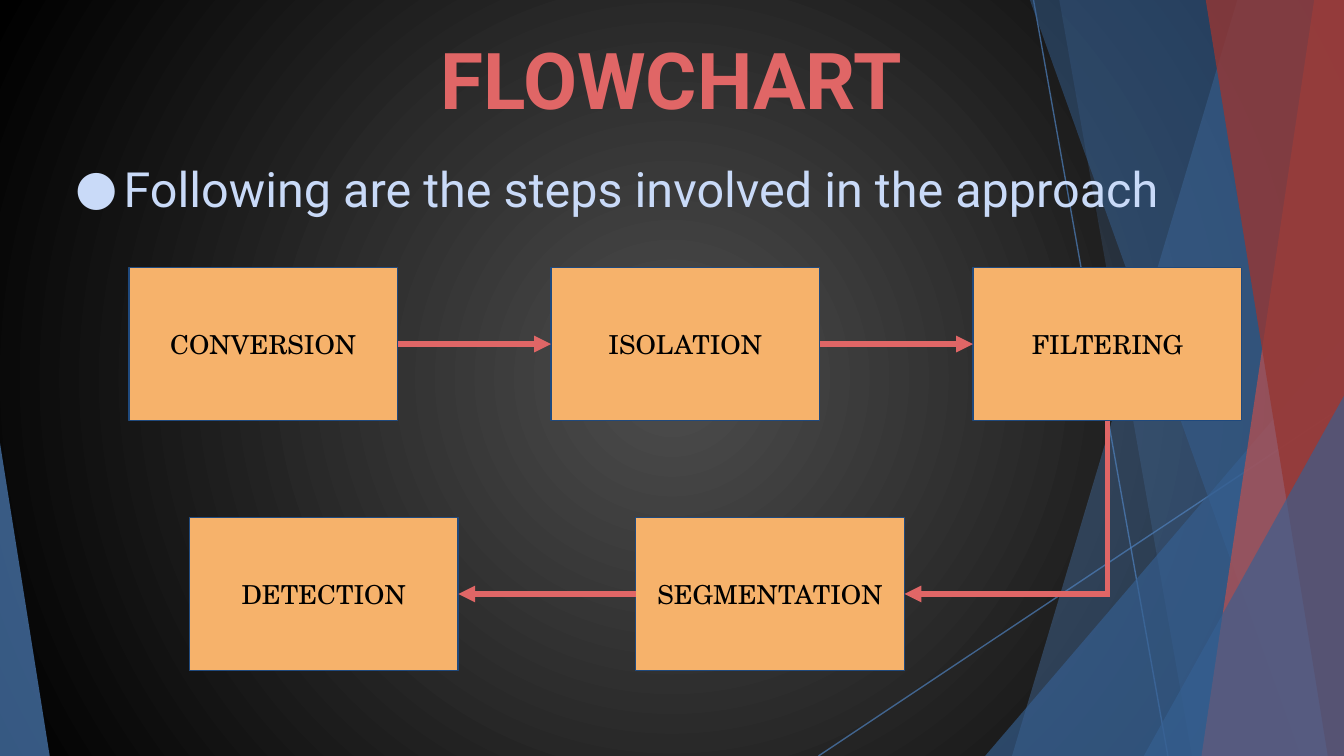
import pptx
import pptx.util
import pptx.dml.color
import pptx.enum.shapes
import pptx.enum.text
import pptx.oxml
import pptx.oxml.ns
from lxml import etree

Inches = pptx.util.Inches
Pt = pptx.util.Pt
qn = pptx.oxml.ns.qn
SHAPE = pptx.enum.shapes.MSO_SHAPE
CENTER = pptx.enum.text.PP_ALIGN.CENTER
MIDDLE = pptx.enum.text.MSO_ANCHOR.MIDDLE

W = 10
H = W * 9 / 16
TOP, LEFT, BOTTOM, RIGHT = range(4)
COLORS = {
    "bg_center": "4D4D4D", "bg_edge": "000000",
    "blue": "4F81BD", "dark_blue": "366092",
    "red": "C0504D", "dark_red": "953734",
    "accent": "E06666", "body": "C9DAF8",
    "box": "F6B26B", "box_line": "1F497D", "box_text": "000000",
}


def rgb(name):
    return pptx.dml.color.RGBColor.from_string(COLORS[name])


def set_alpha(sp, percent):
    for clr in sp.element.spPr.iter(qn("a:srgbClr")):
        etree.SubElement(clr, qn("a:alpha"), val=str(percent * 1000))


def set_background(s):
    """Radial gradient from the slide's centre."""
    fill = s.background.fill
    fill.gradient()
    for stop, name, pos in zip(fill.gradient_stops, ("bg_center", "bg_edge"), (0, 1)):
        stop.color.rgb = rgb(name)
        stop.position = pos
    lin = next(s.element.iter(qn("a:lin")))
    radial = etree.Element(qn("a:path"), path="circle")
    etree.SubElement(radial, qn("a:fillToRect"), {side: "50000" for side in "ltrb"})
    lin.getparent().replace(lin, radial)


def add_line(s, start, end, color, width, arrow=False):
    cn = s.shapes.add_connector(pptx.enum.shapes.MSO_CONNECTOR.STRAIGHT,
                                *(Inches(v) for v in (*start, *end)))
    cn.line.color.rgb = rgb(color)
    cn.line.width = Pt(width)
    if arrow:
        etree.SubElement(cn.element.spPr.find(qn("a:ln")), qn("a:tailEnd"), type="triangle")
    etree.SubElement(cn.element.spPr, qn("a:effectLst"))
    return cn


def paint(sp, color, alpha):
    sp.shadow.inherit = False
    sp.fill.solid()
    sp.fill.fore_color.rgb = rgb(color)
    sp.line.fill.background()
    set_alpha(sp, alpha)


def add_band(s, x_top, x_bottom, color, alpha):
    """Translucent band from a slanted left edge to the slide's right edge."""
    fb = s.shapes.build_freeform(Inches(x_top), Inches(-0.01), scale=1.0)
    corners = [(W, -0.01), (W, H), (x_bottom, H)]
    fb.add_line_segments([(Inches(x), Inches(y)) for x, y in corners], close=True)
    paint(fb.convert_to_shape(), color, alpha)


def add_corner(s, x, width, height, apex, color, alpha):
    """Translucent right triangle standing on the slide's bottom edge."""
    sp = s.shapes.add_shape(SHAPE.ISOSCELES_TRIANGLE, Inches(x), Inches(H - height),
                            Inches(width), Inches(height))
    sp.adjustments[0] = apex
    paint(sp, color, alpha)


def add_decoration(s):
    for start, end in (((7.69, 0), (8.69, H)), ((W, 3.02), (6.09, H))):
        set_alpha(add_line(s, start, end, "blue", 0.75), 69)
    add_band(s, 9.21, 7.53, "blue", 36)
    add_band(s, 7.88, 8.87, "blue", 20)
    add_corner(s, 7.33, 2.67, 3.12, 1, "dark_blue", 65)
    add_band(s, 7.66, 9.68, "dark_blue", 49)
    add_band(s, 9.78, 8.94, "red", 69)
    add_band(s, 8.97, 9.88, "dark_red", 80)
    add_corner(s, 8.51, 1.49, 2.68, 1, "dark_blue", 65)
    add_corner(s, 0, 0.37, 2.33, 0, "blue", 69)


def add_text(s, box, text, size, color):
    tf = s.shapes.add_textbox(*(Inches(v) for v in box)).text_frame
    tf.word_wrap = True
    tf.margin_left = tf.margin_right = Inches(0.07)
    tf.margin_top = tf.margin_bottom = Inches(0.04)
    p = tf.paragraphs[0]
    p.text = text
    p.font.name = "Roboto"
    p.font.size = Pt(size)
    p.font.color.rgb = rgb(color)
    return p


def add_title(s, box):
    p = add_text(s, box, "FLOWCHART", 42, "accent")
    p.alignment = CENTER
    p.font.bold = True


def add_body(s, box):
    p = add_text(s, box, "Following are the steps involved in the approach", 26, "body")
    pPr = p._p.get_or_add_pPr()
    pPr.set("marL", str(Inches(0.38)))
    pPr.set("indent", str(Inches(-0.36)))
    color = etree.Element(qn("a:buClr"))
    etree.SubElement(color, qn("a:srgbClr"), val=COLORS["body"])
    font = etree.Element(qn("a:buFont"), typeface="Roboto")
    bullet = etree.Element(qn("a:buChar"), char="●")
    for i, part in enumerate((color, font, bullet)):
        pPr.insert(i, part)


def add_step(s, x, y, w, h, text):
    sp = s.shapes.add_shape(SHAPE.RECTANGLE, *(Inches(v) for v in (x, y, w, h)))
    sp.shadow.inherit = False
    sp.fill.solid()
    sp.fill.fore_color.rgb = rgb("box")
    sp.line.color.rgb = rgb("box_line")
    sp.line.width = Pt(0.75)
    tf = sp.text_frame
    tf.word_wrap = True
    tf.vertical_anchor = MIDDLE
    tf.margin_left = tf.margin_right = tf.margin_top = tf.margin_bottom = Inches(0.07)
    p = tf.paragraphs[0]
    p.text = text
    p.alignment = CENTER
    p.font.name = "TeX Gyre Schola"
    p.font.size = Pt(14)
    p.font.color.rgb = rgb("box_text")
    return sp


def add_flow(s, x, y, w, h):
    """Three steps rightwards, then two leftwards on the row below."""
    step_w, step_h = 2, 1.14
    pitch = (w - step_w) / 2
    y2 = y + h - step_h
    conversion, isolation, filtering = [
        add_step(s, x + i * pitch, y, step_w, step_h, text)
        for i, text in enumerate(("CONVERSION", "ISOLATION", "FILTERING"))]
    segmentation = add_step(s, x + 3.77, y2, step_w, step_h, "SEGMENTATION")
    detection = add_step(s, x + 0.45, y2, step_w, step_h, "DETECTION")

    for a, a_side, b, b_side in ((conversion, RIGHT, isolation, LEFT),
                                 (isolation, RIGHT, filtering, LEFT),
                                 (segmentation, LEFT, detection, RIGHT)):
        cn = add_line(s, (x, y), (x, y), "accent", 3, arrow=True)
        cn.begin_connect(a, a_side)
        cn.end_connect(b, b_side)

    turn_x, turn_y = x + w - step_w / 2, y2 + step_h / 2
    down = add_line(s, (turn_x, y), (turn_x, turn_y + 0.02), "accent", 3)
    down.begin_connect(filtering, BOTTOM)
    back = add_line(s, (turn_x, turn_y), (x, turn_y), "accent", 3, arrow=True)
    back.end_connect(segmentation, RIGHT)


def main():
    prs = pptx.Presentation()
    prs.slide_width, prs.slide_height = Inches(W), Inches(H)
    s = prs.slides.add_slide(prs.slide_layouts[6])
    set_background(s)
    add_decoration(s)
    add_title(s, (1.47, 0.19, 7.05, 1.08))
    add_body(s, (0.47, 1.14, 9.27, 0.6))
    add_flow(s, 0.96, 1.99, 8.28, 3)
    prs.save("out.pptx")


if __name__ == "__main__":
    main()
